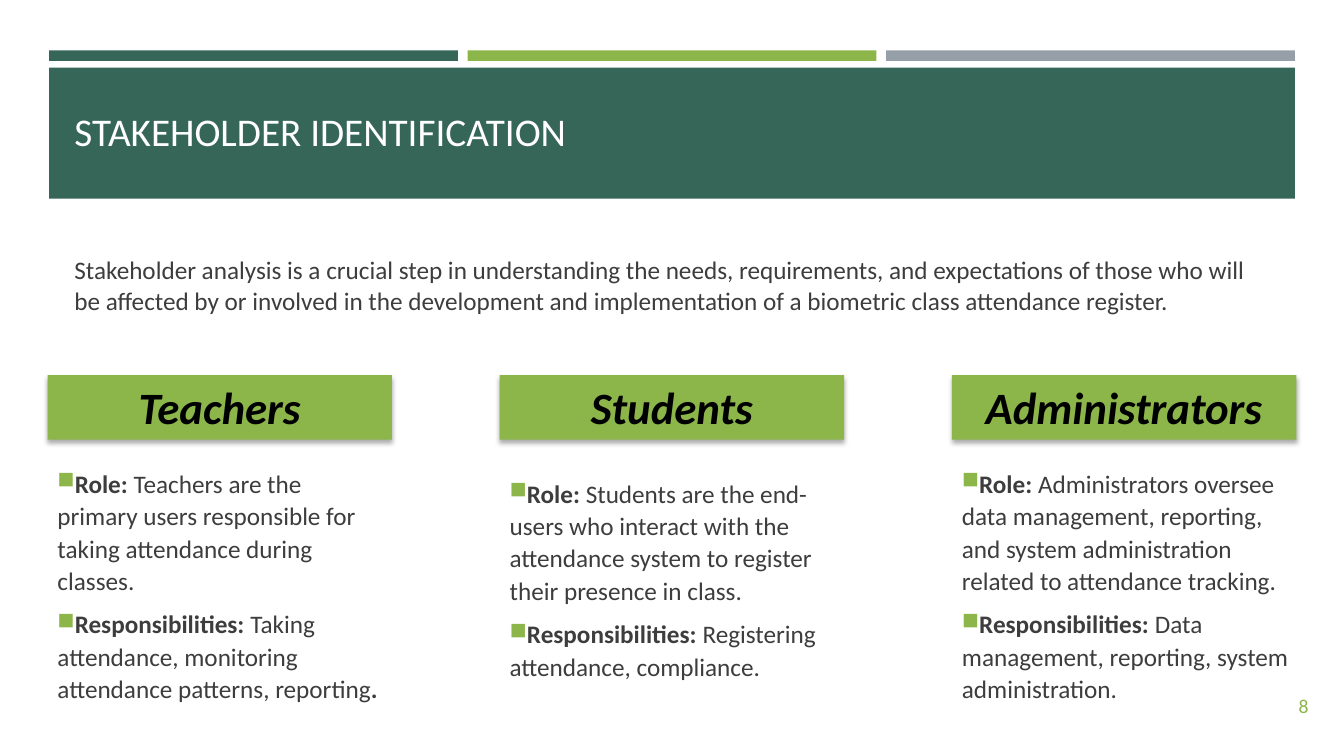
from lxml.etree import SubElement
from pptx import Presentation
from pptx.dml.color import RGBColor
from pptx.enum.shapes import MSO_SHAPE
from pptx.enum.text import MSO_ANCHOR, PP_ALIGN
from pptx.oxml.ns import qn
from pptx.util import Pt

COLORS = {
    "green": "366658",
    "lime": "8CB64A",
    "gray": "969FA7",
    "body": "3D3D3D",
    "white": "FFFFFF",
    "black": "000000",
}

INTRO = (
    "Stakeholder analysis is a crucial step in understanding the needs, requirements, "
    "and expectations of those who will be affected by or involved in the development "
    "and implementation of a biometric class attendance register."
)

STAKEHOLDERS = [
    ("Teachers", 322, 246, [
        [("Role:", True),
         (" Teachers are the primary users responsible for taking attendance during classes.", False)],
        [("Responsibilities: ", True),
         ("Taking attendance, monitoring attendance patterns, reporting", False),
         (".", True)],
    ]),
    ("Students", 317.5, 246, [
        [("Role:", True),
         (" Students are the end-users who interact with the attendance system "
          "to register their presence in class.", False)],
        [("Responsibilities: ", True), ("Registering attendance, compliance.", False)],
    ]),
    ("Administrators", 322, 254, [
        [("Role:", True),
         (" Administrators oversee data management, reporting, and system administration "
          "related to attendance tracking.", False)],
        [("Responsibilities: ", True),
         ("Data management, reporting, system administration.", False)],
    ]),
]


def rgb(name):
    return RGBColor.from_string(COLORS[name])


def add_run(paragraph, text, size=18, color="body", bold=False, italic=False):
    run = paragraph.add_run()
    run.text = text
    font = run.font
    font.name = "Calibri"
    font.size = Pt(size)
    font.bold = bold
    font.italic = italic
    font.color.rgb = rgb(color)


def add_text(slide, box, text, anchor=MSO_ANCHOR.MIDDLE, align=PP_ALIGN.LEFT,
             bottom_inset=3.6, **font):
    frame = slide.shapes.add_textbox(*map(Pt, box)).text_frame
    frame.word_wrap = True
    frame.vertical_anchor = anchor
    frame.margin_bottom = Pt(bottom_inset)
    frame.paragraphs[0].alignment = align
    add_run(frame.paragraphs[0], text, **font)


def add_block(slide, box, color):
    block = slide.shapes.add_shape(MSO_SHAPE.RECTANGLE, *map(Pt, box))
    block.shadow.inherit = False
    block.fill.solid()
    block.fill.fore_color.rgb = rgb(color)
    block.line.fill.background()
    return block


def add_shadow(block):
    effects = block._element.spPr.find(qn("a:effectLst"))
    shadow = SubElement(effects, qn("a:outerShdw"), blurRad=str(Pt(3.5)),
                        dist=str(Pt(2.2)), dir="5400000", algn="ctr", rotWithShape="0")
    tint = SubElement(shadow, qn("a:srgbClr"), val=COLORS["black"])
    SubElement(tint, qn("a:alpha"), val="32000")


def add_heading(slide, box, text):
    heading = add_block(slide, box, "lime")
    add_shadow(heading)
    frame = heading.text_frame
    frame.word_wrap = True
    frame.vertical_anchor = MSO_ANCHOR.TOP
    frame.paragraphs[0].alignment = PP_ALIGN.CENTER
    add_run(frame.paragraphs[0], text, size=32, color="black", bold=True, italic=True)


def set_bullet(paragraph):
    properties = paragraph._p.get_or_add_pPr()
    properties.set("marL", "0")
    properties.set("indent", str(-Pt(24)))
    bullet_color = SubElement(properties, qn("a:buClr"))
    SubElement(bullet_color, qn("a:srgbClr"), val=COLORS["lime"])
    SubElement(properties, qn("a:buSzPct"), val="92000")
    SubElement(properties, qn("a:buChar"), char="■")


def add_duties(slide, box, duties):
    frame = slide.shapes.add_textbox(*map(Pt, box)).text_frame
    frame.word_wrap = True
    frame.vertical_anchor = MSO_ANCHOR.MIDDLE
    for index, duty in enumerate(duties):
        paragraph = frame.add_paragraph() if index else frame.paragraphs[0]
        paragraph.line_spacing = 1.07
        paragraph.space_after = Pt(8)
        set_bullet(paragraph)
        for text, bold in duty:
            add_run(paragraph, text, bold=bold)


def main():
    """Build the stakeholder identification slide."""
    deck = Presentation()
    deck.slide_width, deck.slide_height = Pt(960), Pt(540)
    slide = deck.slides.add_slide(deck.slide_layouts[6])

    for index, color in enumerate(("green", "lime", "gray")):
        add_block(slide, (35 + 299 * index, 36, 292, 7.5), color)
    add_block(slide, (35, 48.4, 890, 93.6), "green")
    add_text(slide, (46, 55.4, 868, 58.4), "STAKEHOLDER IDENTIFICATION",
             anchor=MSO_ANCHOR.BOTTOM, size=28, color="white")
    add_text(slide, (46, 171.4, 868, 88.6), INTRO, bottom_inset=28)

    for index, (name, top, width, duties) in enumerate(STAKEHOLDERS):
        left = 34 + 323 * index
        add_heading(slide, (left, 268, 246, 46), name)
        add_duties(slide, (left, top, width, 191.5), duties)

    add_text(slide, (831.6, 468.7, 110.2, 71.3), "8", align=PP_ALIGN.RIGHT,
             size=14, color="lime")
    deck.save("out.pptx")


if __name__ == "__main__":
    main()
